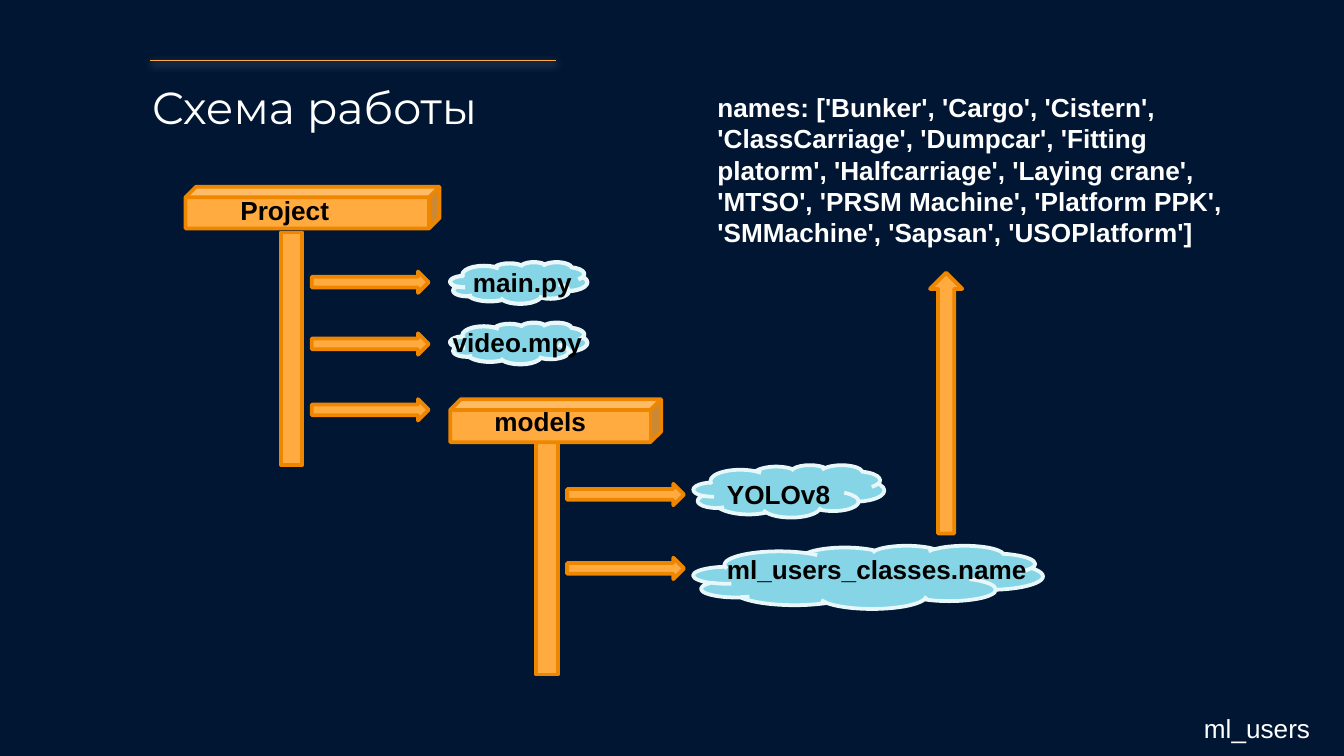
from lxml.etree import SubElement
from pptx import Presentation
from pptx.dml.color import RGBColor
from pptx.enum.shapes import MSO_CONNECTOR, MSO_SHAPE as Shp
from pptx.enum.text import MSO_ANCHOR, MSO_AUTO_SIZE, PP_ALIGN
from pptx.oxml.ns import qn
from pptx.util import Inches, Pt

COLORS = {
    "bg": "001633",
    "orange": "FFAB40",
    "orange_edge": "EF8600",
    "cloud": "85D5E6",
    "cloud_edge": "E7F7FA",
    "white": "FFFFFF",
    "black": "000000",
}
LABEL = {"name": "Arial", "size": Pt(14), "bold": True}
TITLE = {"name": "Montserrat", "size": Pt(24), "bold": False}
CLASSES = (
    "names: ['Bunker', 'Cargo', 'Cistern', 'ClassCarriage', 'Dumpcar', "
    "'Fitting platorm', 'Halfcarriage', 'Laying crane', 'MTSO', "
    "'PRSM Machine', 'Platform PPK', 'SMMachine', 'Sapsan', 'USOPlatform']"
)


def rgb(key):
    """Return the named colour."""
    return RGBColor.from_string(COLORS[key])


def set_font(font, fmt, color):
    """Apply a dict of format values and a colour to a font."""
    for attr, value in fmt.items():
        setattr(font, attr, value)
    font.color.rgb = rgb(color)


def add_title(s, text):
    """Fill and place the title placeholder."""
    sp = s.shapes.title
    box = {"left": 1.03, "top": 0.49, "width": 5.06, "height": 1.03}
    for attr, value in box.items():
        setattr(sp, attr, Inches(value))
    tf = sp.text_frame
    tf.text = text
    margins = dict.fromkeys(
        ("margin_left", "margin_top", "margin_right", "margin_bottom"), Inches(0.1))
    frame = {"vertical_anchor": MSO_ANCHOR.TOP, "auto_size": MSO_AUTO_SIZE.NONE}
    for attr, value in {**margins, **frame}.items():
        setattr(tf, attr, value)
    p = tf.paragraphs[0]
    p.alignment = PP_ALIGN.LEFT
    set_font(p.runs[0].font, TITLE, "white")


def add_rule(s, x1, x2, y):
    """Draw the thin line above the title with its soft glow."""
    line = s.shapes.add_connector(
        MSO_CONNECTOR.STRAIGHT, Inches(x1), Inches(y), Inches(x2), Inches(y))
    line.line.color.rgb = rgb("orange")
    line.line.width = Pt(0.75)
    effects = SubElement(line._element.spPr, qn("a:effectLst"))
    shadow = SubElement(effects, qn("a:outerShdw"), blurRad=str(Pt(4.5)),
                        dist=str(Pt(1.5)), dir="5400000", algn="bl", rotWithShape="0")
    color = SubElement(shadow, qn("a:srgbClr"), val=COLORS["white"])
    SubElement(color, qn("a:alpha"), val="50000")


def add_block(s, kind, x, y, w, h, color="orange", width=2):
    """Add a filled and outlined preset shape."""
    sp = s.shapes.add_shape(kind, Inches(x), Inches(y), Inches(w), Inches(h))
    sp.shadow.inherit = False
    sp.fill.solid()
    sp.fill.fore_color.rgb = rgb(color)
    sp.line.color.rgb = rgb(color + "_edge")
    sp.line.width = Pt(width)


def add_label(s, text, x, y, w=3.33, h=0.34, color="black", bold=True):
    """Add a wrapped text box."""
    tf = s.shapes.add_textbox(Inches(x), Inches(y), Inches(w), Inches(h)).text_frame
    tf.word_wrap = True
    r = tf.paragraphs[0].add_run()
    r.text = text
    set_font(r.font, {**LABEL, "bold": bold}, color)


def main():
    """Build the project structure slide."""
    prs = Presentation()
    prs.slide_width = Inches(10)
    prs.slide_height = prs.slide_width * 9 // 16
    s = prs.slides.add_slide(prs.slide_layouts[5])
    s.background.fill.solid()
    s.background.fill.fore_color.rgb = rgb("bg")

    add_title(s, "Схема работы")
    add_rule(s, 1.12, 4.14, 0.45)

    for x, y in ((2.09, 1.73), (3.99, 3.29)):
        add_block(s, Shp.RECTANGLE, x, y, 0.16, 1.73)
    for x, y in ((2.32, 2.02), (2.32, 2.48), (2.32, 2.97), (4.22, 3.6), (4.22, 4.15)):
        add_block(s, Shp.RIGHT_ARROW, x, y, 0.87, 0.16)
    add_block(s, Shp.UP_ARROW, 6.92, 2.03, 0.24, 1.94)

    folders = (
        ("Project", (1.38, 1.39, 1.89, 0.31), (1.69, 1.4)),
        ("models", (3.35, 2.97, 1.57, 0.32), (3.58, 2.97)),
    )
    for text, box, pos in folders:
        add_block(s, Shp.CUBE, *box)
        add_label(s, text, *pos)

    files = (
        ("main.py", (3.35, 1.95, 1.02, 0.31), (3.42, 1.93), 2.25),
        ("video.mpy", (3.35, 2.4, 1.02, 0.31), (3.27, 2.38), 2.25),
        ("YOLOv8", (5.16, 3.46, 1.42, 0.39), (5.31, 3.51), 2),
        ("ml_users_classes.name", (5.16, 4.06, 2.6, 0.47), (5.31, 4.07), 2),
    )
    for text, box, pos, width in files:
        add_block(s, Shp.CLOUD, *box, color="cloud", width=width)
        add_label(s, text, *pos)

    add_label(s, CLASSES, 5.24, 0.63, 4.17, 1.74, color="white")
    add_label(s, "ml_users", 8.86, 5.25, 1.1, color="white", bold=False)
    prs.save("out.pptx")


if __name__ == "__main__":
    main()
